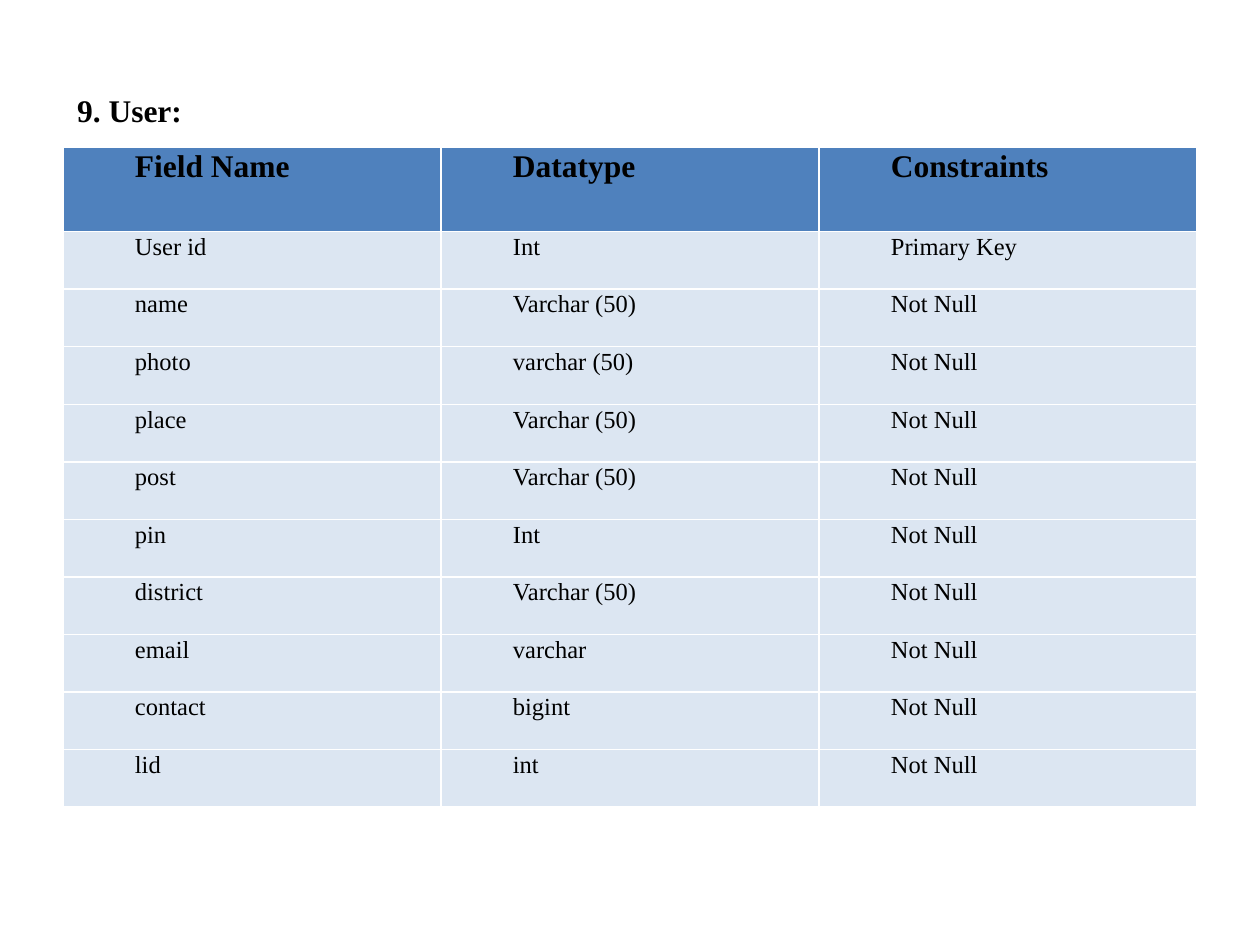
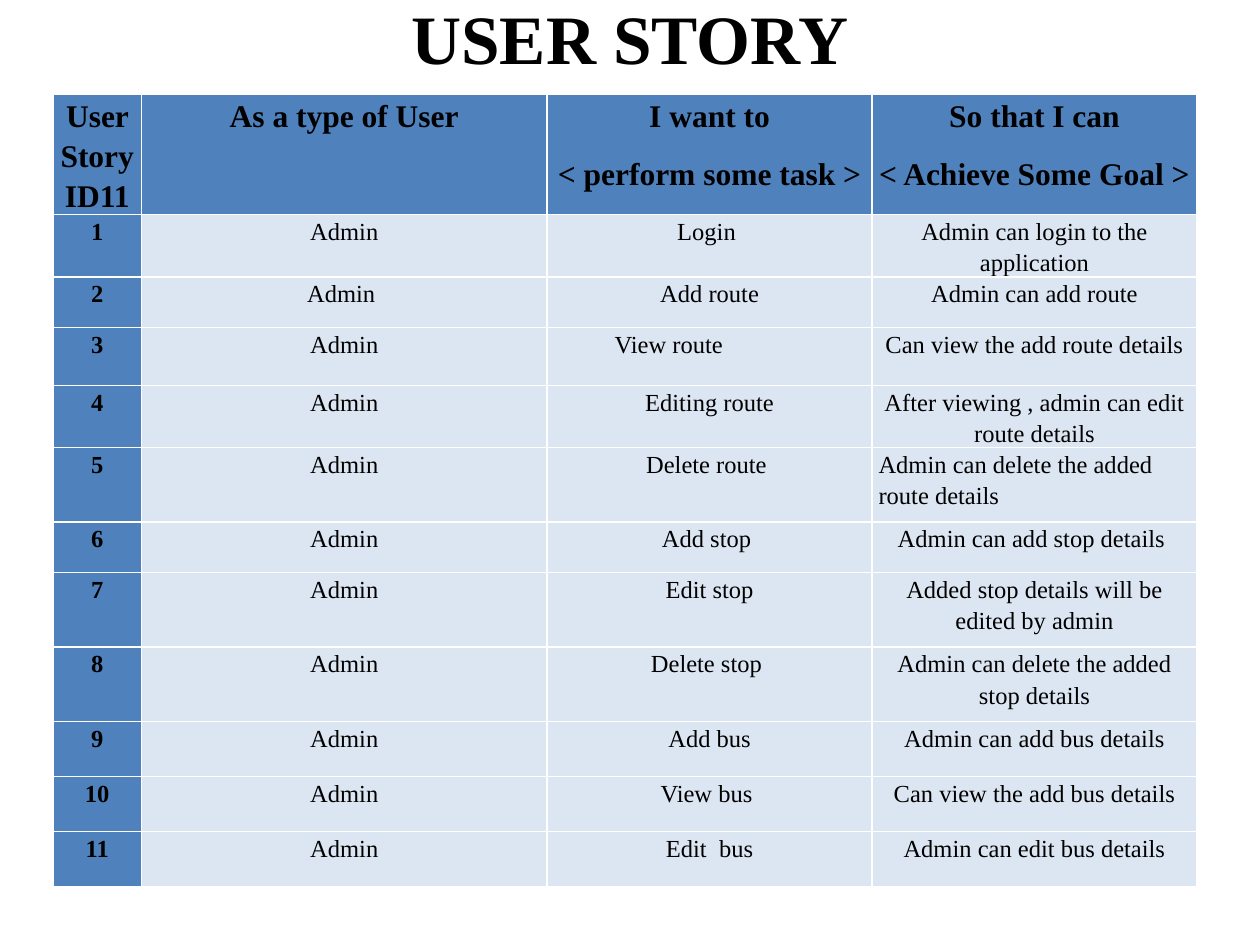
import dataclasses

import pptx
import pptx.dml.color
import pptx.enum.text
import pptx.util

Cm = pptx.util.Cm
Pt = pptx.util.Pt
ALIGN = pptx.enum.text.PP_ALIGN


@dataclasses.dataclass(frozen=True)
class Theme:
    font: str = "Times New Roman"
    ink: str = "000000"
    header_fill: str = "4F81BD"
    body_fill: str = "DCE6F2"
    title_size: float = 39.6
    heading_size: float = 18
    body_size: float = 14


THEME = Theme()

USER_FIELDS = [
    ("Field Name", "Datatype", "Constraints"),
    ("User id", "Int", "Primary Key"),
    ("name", "Varchar (50)", "Not Null"),
    ("photo", "varchar (50)", "Not Null"),
    ("place", "Varchar (50)", "Not Null"),
    ("post", "Varchar (50)", "Not Null"),
    ("pin", "Int", "Not Null"),
    ("district", "Varchar (50)", "Not Null"),
    ("email", "varchar", "Not Null"),
    ("contact", "bigint", "Not Null"),
    ("lid", "int", "Not Null"),
]

USER_STORIES = [
    ("User Story ID11", "As a type of User", "I want to\n< perform some task >",
     "So that I can\n< Achieve Some Goal >"),
    ("1", "Admin", "Login ", "Admin can login to the application"),
    ("2", "Admin ", "Add route", "Admin can add route"),
    ("3", "Admin", "View route", "Can view the add route details"),
    ("4", "Admin", "Editing route", "After viewing , admin can edit route details"),
    ("5", "Admin", "Delete route ", "Admin can delete the added route details"),
    ("6", "Admin", "Add stop ", "Admin can add stop details "),
    ("7", "Admin", "Edit stop", "Added stop details will be edited by admin"),
    ("8", "Admin", "Delete stop ", "Admin can delete the added stop details"),
    ("9", "Admin", "Add bus", "Admin can add bus details"),
    ("10", "Admin", "View bus ", "Can view the add bus details"),
    ("11", "Admin", "Edit  bus", "Admin can edit bus details"),
]

SLIDES = [
    dict(
        title=dict(text="9. User:", box=(1.3, 1.7, 12.7, 1.02),
                   size=THEME.heading_size, align=ALIGN.LEFT),
        table=dict(rows=USER_FIELDS, left=1.27, top=2.97,
                   widths=[7.62] * 3, heights=[1.7] + [1.16] * 10,
                   margin=0.18, first_column=False, exceptions={},
                   style=dict(align=ALIGN.LEFT, indent=1.27,
                              line_spacing=1.07, space_after=8)),
    ),
    dict(
        title=dict(text="USER STORY", box=(1.27, -0.2, 22.86, 1.9),
                   size=THEME.title_size, align=ALIGN.CENTER),
        table=dict(rows=USER_STORIES, left=1.07, top=1.9,
                   widths=[1.78, 8.18, 6.55, 6.55],
                   heights=[2.41, 1.25, 1.02, 1.17, 1.25, 1.5,
                            1.02, 1.5, 1.5, 1.11, 1.11, 1.11],
                   margin=0.13, first_column=True,
                   exceptions={(3, 2): dict(align=ALIGN.LEFT, indent=1.23),
                               (5, 3): dict(align=ALIGN.LEFT)},
                   style=dict(align=ALIGN.CENTER, line_spacing=1.15, space_after=10)),
    ),
]


def write_text(frame, text, size, bold=False, align=ALIGN.LEFT, indent=0,
               line_spacing=None, space_after=0):
    frame.word_wrap = True
    frame.text = text
    for paragraph in frame.paragraphs:
        paragraph._p.get_or_add_pPr().set("marL", str(Cm(indent)))
        paragraph.alignment = align
        paragraph.line_spacing = line_spacing
        paragraph.space_after = Pt(space_after)
        for run in paragraph.runs:
            run.font.name = THEME.font
            run.font.size = Pt(size)
            run.font.bold = bold
            run.font.color.rgb = pptx.dml.color.RGBColor.from_string(THEME.ink)


def place_title(slide, text, box, **style):
    title = slide.shapes.title
    title.left, title.top, title.width, title.height = map(Cm, box)
    frame = title.text_frame
    write_text(frame, text, bold=True, **style)
    frame.auto_size = pptx.enum.text.MSO_AUTO_SIZE.NONE
    frame.vertical_anchor = pptx.enum.text.MSO_ANCHOR.MIDDLE


def place_table(slide, rows, left, top, widths, heights, margin,
                first_column, exceptions, style):
    table = slide.shapes.add_table(
        len(rows), len(widths), Cm(left), Cm(top),
        Cm(sum(widths)), Cm(sum(heights))).table
    table.horz_banding = False
    table.first_col = first_column
    for column, width in zip(table.columns, widths):
        column.width = Cm(width)
    for row, height in zip(table.rows, heights):
        row.height = Cm(height)
    for row_index, texts in enumerate(rows):
        for column_index, text in enumerate(texts):
            cell = table.cell(row_index, column_index)
            is_top = row_index == 0
            is_header = is_top or (first_column and column_index == 0)
            cell.margin_left = cell.margin_right = Cm(margin)
            cell.margin_top = cell.margin_bottom = 0
            cell.fill.solid()
            cell.fill.fore_color.rgb = pptx.dml.color.RGBColor.from_string(
                THEME.header_fill if is_header else THEME.body_fill)
            cell_style = style | exceptions.get((row_index, column_index), {})
            write_text(cell.text_frame, text, bold=is_header,
                       size=THEME.heading_size if is_top else THEME.body_size,
                       **cell_style)


def main():
    presentation = pptx.Presentation()
    presentation.slide_width, presentation.slide_height = Cm(25.4), Cm(19.05)
    for content in SLIDES:
        slide = presentation.slides.add_slide(presentation.slide_layouts[5])
        place_title(slide, **content["title"])
        place_table(slide, **content["table"])
    presentation.save("out.pptx")


if __name__ == "__main__":
    main()
